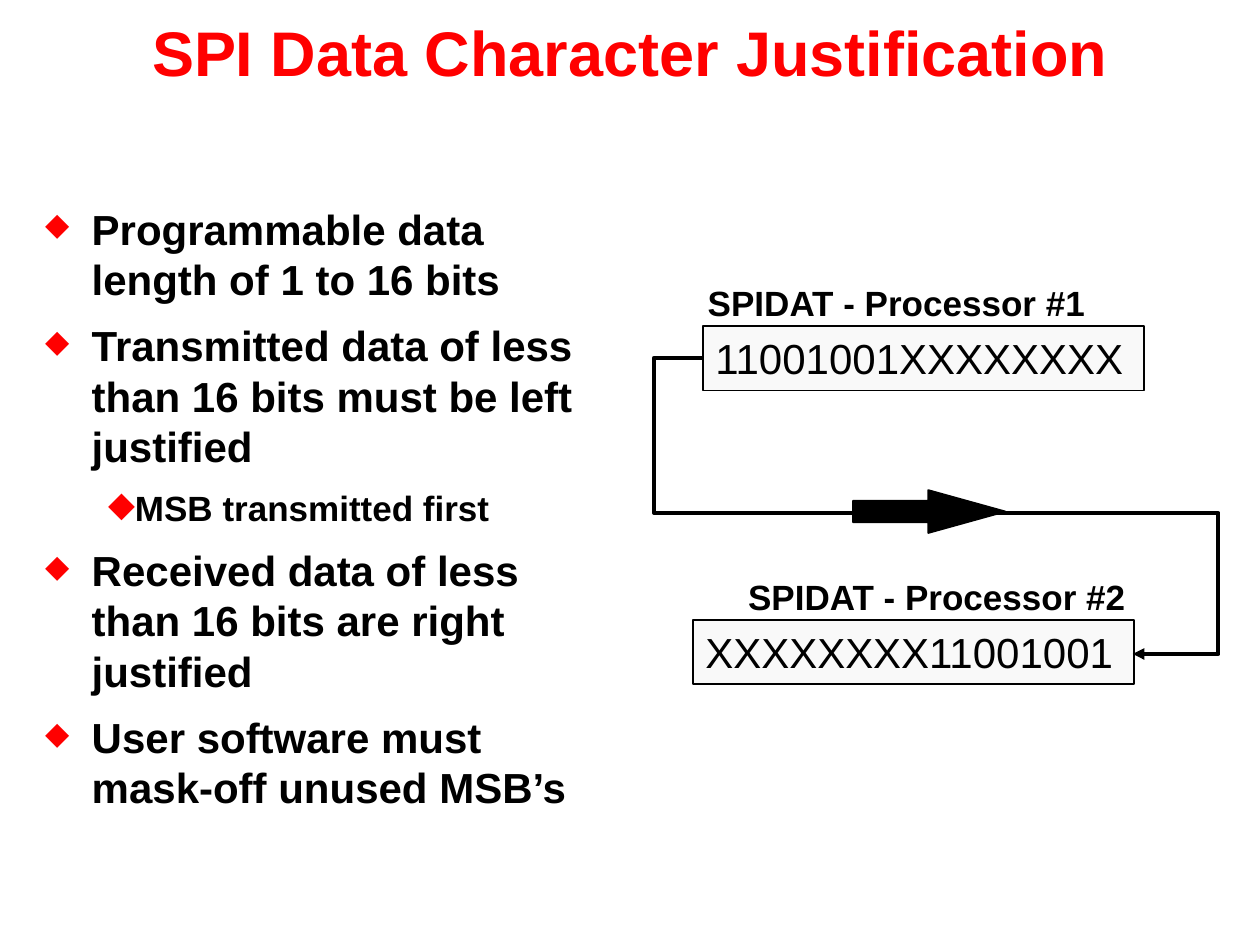
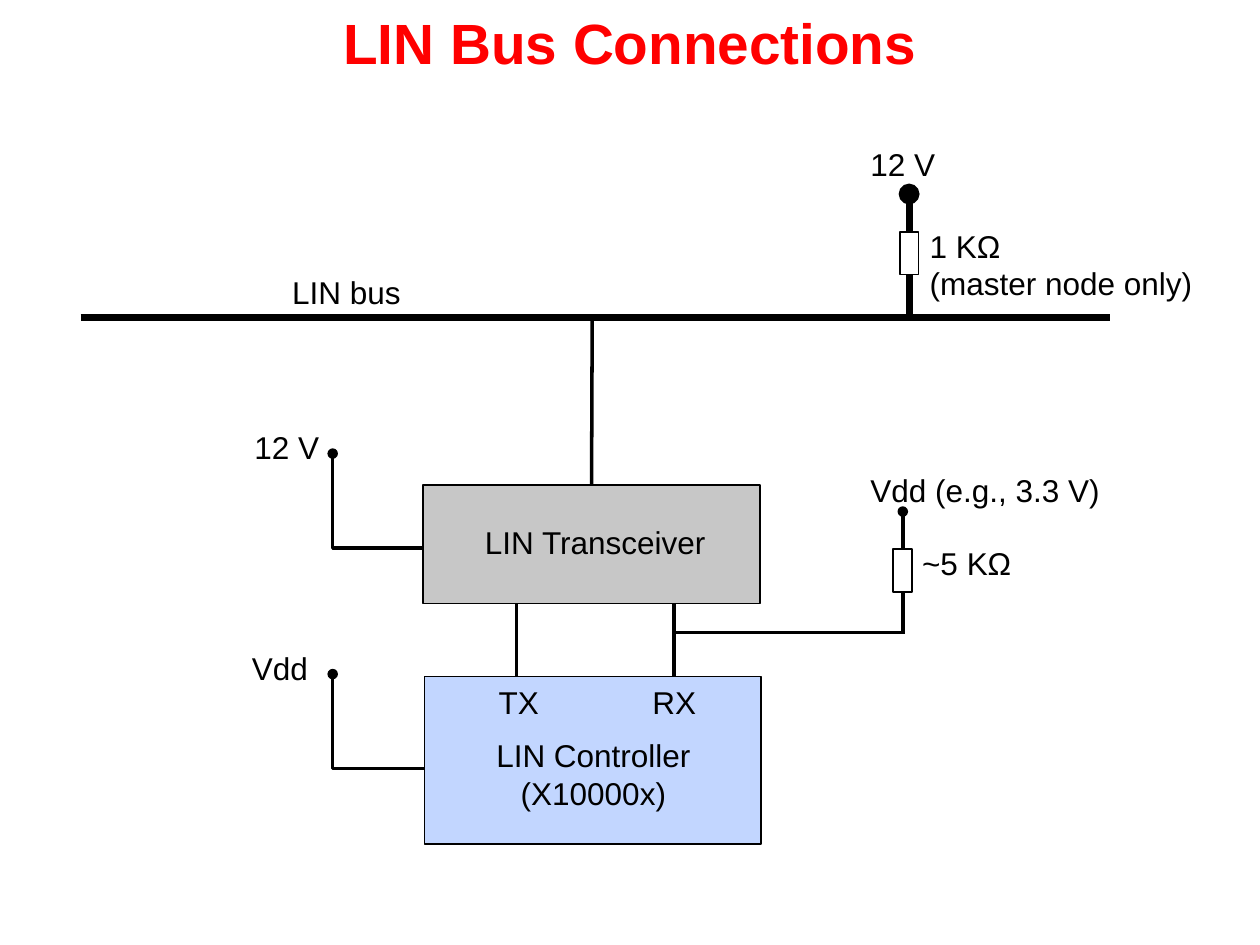
from lxml.etree import SubElement
from pptx import Presentation
from pptx.dml.color import RGBColor
from pptx.enum.shapes import MSO_CONNECTOR, MSO_SHAPE
from pptx.enum.text import MSO_ANCHOR, PP_ALIGN
from pptx.oxml.ns import qn
from pptx.util import Inches, Pt

COLUMNS, ROWS = 10, 7.5
SLIDE_WIDTH, SLIDE_HEIGHT = Inches(10), Inches(7.5)
FONT = "Arial"
COLORS = {
    "title": "FF0000",
    "bullet": "FF0000",
    "ink": "000000",
    "register": "F9F9F9",
    "transceiver": "C7C7C7",
    "controller": "C2D6FF",
    "resistor": "FFFFFF",
}
BULLET_LEVELS = [
    {"margin": 0.37, "hang": 0.37, "size": 24, "bullet_percent": 75},
    {"margin": 0.69, "hang": 0.19, "size": 20, "bullet_percent": 100},
]
BULLETS = [
    (0, "Programmable data length of 1 to 16 bits"),
    (0, "Transmitted data of less than 16 bits must be left justified"),
    (1, "MSB transmitted first"),
    (0, "Received data of less than 16 bits are right justified"),
    (0, "User software must mask-off unused MSB’s"),
]
REGISTERS = [
    ("11001001XXXXXXXX", 5.58, 2.59),
    ("XXXXXXXX11001001", 5.5, 4.92),
]
REGISTER_LABELS = [
    ("SPIDAT - Processor #1", 5.51, 2.25),
    ("SPIDAT - Processor #2", 5.83, 4.58),
]
SERIAL_PATH = [(5.57, 2.84), (5.19, 2.84), (5.19, 4.07),
               (9.67, 4.07), (9.67, 5.19), (8.99, 5.19)]
CIRCUIT_LABELS = [
    ("LIN bus", 2.22, 2.12, 1.07),
    ("12 V", 6.81, 1.1, 0.72),
    ("1 KΩ\n(master node only)", 7.28, 1.75, 2.31),
    ("12 V", 1.92, 3.35, 0.72),
    ("Vdd", 1.9, 5.1, 0.65),
    ("Vdd (e.g., 3.3 V)", 6.81, 3.69, 2.04),
    ("~5 KΩ", 7.22, 4.27, 0.92),
    ("LIN Transceiver", 3.75, 4.1, 1.97),
    ("TX", 3.86, 5.37, 0.52),
    ("RX", 5.08, 5.37, 0.55),
]
BUS_ROW = 2.52
PULL_UP_ROW = 5.02
TX_COLUMN, RX_COLUMN = 4.1, 5.35
SUPPLY_LEAD, LOAD_LEAD = 0.3, 0.32


def across(columns):
    return round(SLIDE_WIDTH * columns / COLUMNS)


def down(rows):
    return round(SLIDE_HEIGHT * rows / ROWS)


def place(left, top, width, height):
    return across(left), down(top), across(width), down(height)


def color(name):
    return RGBColor.from_string(COLORS[name])


def format_runs(paragraph, size, bold=False, color_name="ink"):
    for run in paragraph.runs:
        run.font.name = FONT
        run.font.size = Pt(size)
        run.font.bold = bold
        run.font.color.rgb = color(color_name)


def add_text(slide, text, box, size, bold=False, color_name="ink",
             align=PP_ALIGN.LEFT, anchor=MSO_ANCHOR.TOP, wrap=False, line_spacing=None):
    text_frame = slide.shapes.add_textbox(*place(*box)).text_frame
    text_frame.text = text
    text_frame.word_wrap = wrap
    text_frame.vertical_anchor = anchor
    for paragraph in text_frame.paragraphs:
        paragraph.alignment = align
        paragraph.line_spacing = line_spacing
        format_runs(paragraph, size, bold, color_name)
    return text_frame


def add_title(slide, text, size, height):
    add_text(slide, text, (0, 0, COLUMNS, height), size, True, "title",
             PP_ALIGN.CENTER, MSO_ANCHOR.MIDDLE, True)


def set_bullet(paragraph, level):
    properties = paragraph._p.get_or_add_pPr()
    properties.set("marL", str(across(level["margin"])))
    properties.set("indent", str(-across(level["hang"])))
    bullet_color = SubElement(properties, qn("a:buClr"))
    SubElement(bullet_color, qn("a:srgbClr"), val=COLORS["bullet"])
    SubElement(properties, qn("a:buSzPct"), val=str(level["bullet_percent"] * 1000))
    SubElement(properties, qn("a:buChar"), char="◆")


def add_bullets(slide, bullets, box):
    text = "\n".join(line for _, line in bullets)
    text_frame = add_text(slide, text, box, 24, anchor=MSO_ANCHOR.MIDDLE, wrap=True)
    for paragraph, (depth, _) in zip(text_frame.paragraphs, bullets):
        level = BULLET_LEVELS[depth]
        paragraph.level = depth
        paragraph.space_before = Pt(9)
        format_runs(paragraph, level["size"], bold=True)
        set_bullet(paragraph, level)


def add_block(slide, kind, box, fill):
    shape = slide.shapes.add_shape(kind, *place(*box))
    shape.shadow.inherit = False
    shape.fill.solid()
    shape.fill.fore_color.rgb = color(fill)
    shape.line.color.rgb = color("ink")
    shape.line.width = Pt(1)
    return shape


def add_register(slide, bits, left, top):
    shape = add_block(slide, MSO_SHAPE.RECTANGLE, (left, top, 3.5, 0.51), "register")
    text_frame = shape.text_frame
    text_frame.text = bits
    text_frame.vertical_anchor = MSO_ANCHOR.TOP
    paragraph = text_frame.paragraphs[0]
    paragraph.alignment = PP_ALIGN.LEFT
    format_runs(paragraph, 24)


def style_line(line, width, head=None, tail=None):
    line.color.rgb = color("ink")
    line.width = Pt(width)
    for tag, end in (("a:headEnd", head), ("a:tailEnd", tail)):
        if end:
            SubElement(line._get_or_add_ln(), qn(tag), type=end)


def add_polyline(slide, points, width, tail):
    corners = [(across(column), down(row)) for column, row in points]
    builder = slide.shapes.build_freeform(*corners[0])
    builder.add_line_segments(corners[1:], close=False)
    shape = builder.convert_to_shape()
    shape.shadow.inherit = False
    shape.fill.background()
    style_line(shape.line, width, tail=tail)


def add_wire(slide, start, end, width=2, kind=MSO_CONNECTOR.STRAIGHT, head=None, tail=None):
    wire = slide.shapes.add_connector(
        kind, across(start[0]), down(start[1]), across(end[0]), down(end[1]))
    style_line(wire.line, width, head, tail)
    SubElement(wire._element.spPr, qn("a:effectLst"))
    return wire


def add_supply(slide, top):
    wire = add_wire(slide, (2.64, top), (3.72, top + 0.75),
                    kind=MSO_CONNECTOR.ELBOW, head="oval")
    geometry = wire._element.spPr.find(qn("a:prstGeom"))
    adjustments = geometry.find(qn("a:avLst"))
    if adjustments is None:
        adjustments = SubElement(geometry, qn("a:avLst"))
    SubElement(adjustments, qn("a:gd"), name="adj1", fmla="val 0")


def add_resistor(slide, left, top, lead_width):
    width, height = 0.15, 0.34
    body = add_block(slide, MSO_SHAPE.RECTANGLE, (left, top, width, height), "resistor")
    center, bottom = left + width / 2, top + height
    supply = add_wire(slide, (center, top), (center, top - SUPPLY_LEAD), lead_width, tail="oval")
    supply.begin_connect(body, 0)
    load = add_wire(slide, (center, bottom), (center, bottom + LOAD_LEAD), lead_width)
    load.begin_connect(body, 2)


def build_justification(slide):
    add_title(slide, "SPI Data Character Justification", 36, 0.81)
    add_bullets(slide, BULLETS, (0.26, 1.49, 4.5, 5.08))
    for register in REGISTERS:
        add_register(slide, *register)
    arrow = add_block(slide, MSO_SHAPE.RIGHT_ARROW, (6.77, 3.89, 1.21, 0.34), "ink")
    arrow.adjustments[1] = 1.8
    for text, left, top in REGISTER_LABELS:
        add_text(slide, text, (left, top, 3.21, 0.37), 20, True,
                 align=PP_ALIGN.CENTER, anchor=MSO_ANCHOR.MIDDLE, line_spacing=0.8)
    add_polyline(slide, SERIAL_PATH, 2.25, "triangle")


def build_bus(slide):
    add_title(slide, "LIN Bus Connections", 32.4, 0.66)
    for top in (3.6, 5.35):
        add_supply(slide, top)
    add_wire(slide, (0.64, BUS_ROW), (8.81, BUS_ROW), 4)
    transceiver = add_block(slide, MSO_SHAPE.RECTANGLE, (3.36, 3.85, 2.67, 0.94), "transceiver")
    add_block(slide, MSO_SHAPE.RECTANGLE, (3.37, 5.37, 2.67, 1.33), "controller")
    bus_drop = add_wire(slide, (4.7, BUS_ROW), (4.7, 3.85))
    bus_drop.end_connect(transceiver, 0)
    for column in (TX_COLUMN, RX_COLUMN):
        add_wire(slide, (column, 4.79), (column, 5.37))
    add_resistor(slide, 7.14, 1.84, 4)
    add_resistor(slide, 7.09, 4.36, 2)
    add_wire(slide, (7.18, PULL_UP_ROW), (RX_COLUMN, PULL_UP_ROW))
    for text, left, top, width in CIRCUIT_LABELS:
        height = 0.1 + 0.3 * len(text.split("\n"))
        add_text(slide, text, (left, top, width, height), 18)
    add_text(slide, "LIN Controller\n(X10000x)", (3.83, 5.79, 1.76, 0.7), 18,
             align=PP_ALIGN.CENTER)


def main():
    presentation = Presentation()
    presentation.slide_width = SLIDE_WIDTH
    presentation.slide_height = SLIDE_HEIGHT
    blank_layout = presentation.slide_layouts[6]
    for build in (build_justification, build_bus):
        build(presentation.slides.add_slide(blank_layout))
    presentation.save("out.pptx")


if __name__ == "__main__":
    main()
